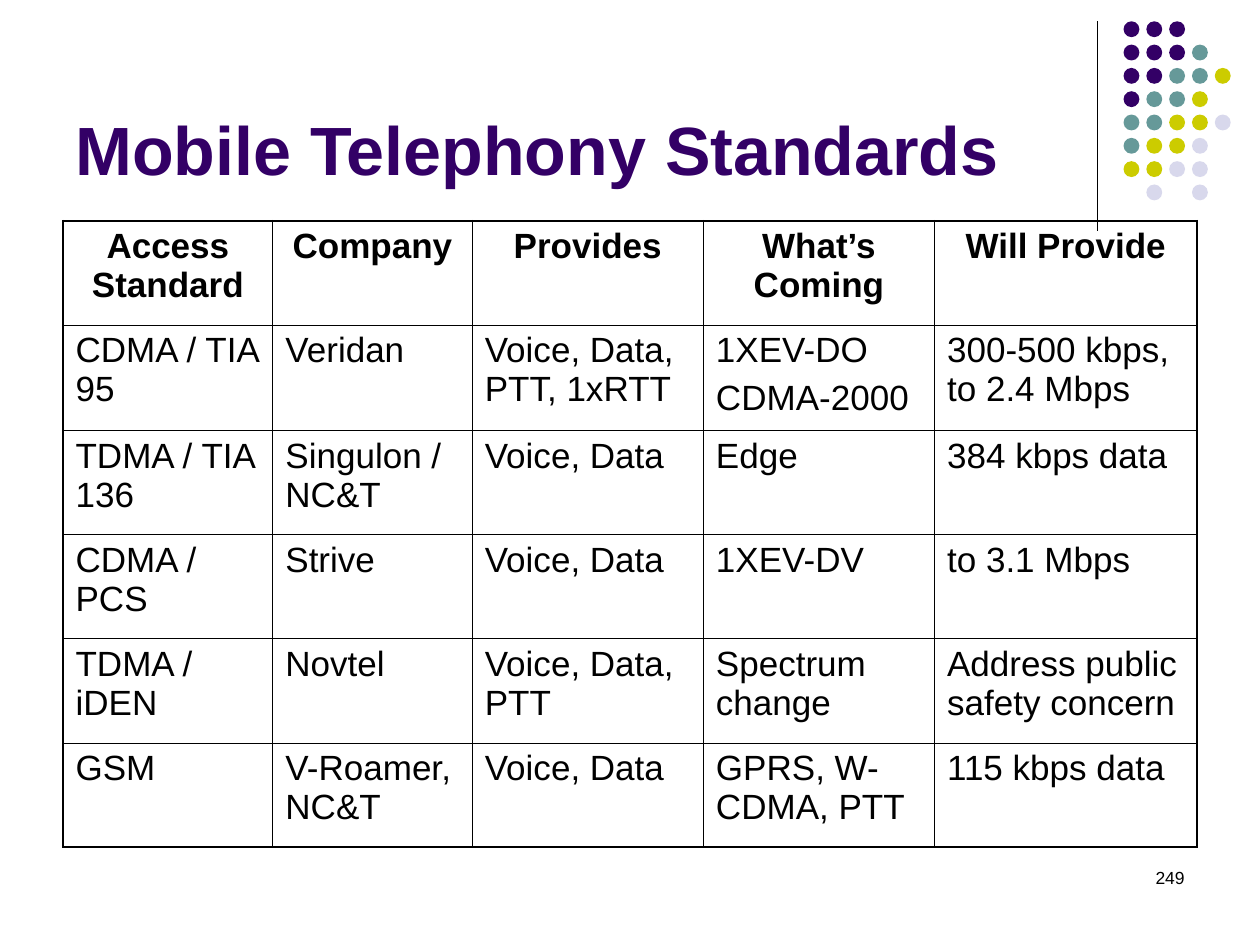
"""Build the Mobile Telephony Standards slide."""
import lxml.etree
import pptx
import pptx.dml.color
import pptx.enum.shapes
import pptx.enum.text
import pptx.oxml.ns
import pptx.util

Cm = pptx.util.Cm
Pt = pptx.util.Pt
align = pptx.enum.text.PP_ALIGN
qn = pptx.oxml.ns.qn
hues = {"ink": "000000", "P": "330066", "T": "669999", "Y": "CCCC00", "L": "D8D8EC"}
rgb = {key: pptx.dml.color.RGBColor.from_string(hue) for key, hue in hues.items()}


def style(par, size, hue="ink", bold=False, side=align.LEFT):
    par.alignment = side
    for run in par.runs:
        run.font.name = "Arial"
        run.font.size = Pt(size)
        run.font.bold = bold
        run.font.color.rgb = rgb[hue]


def border(cell, tag, width):
    props = cell._tc.get_or_add_tcPr()
    line = lxml.etree.SubElement(props, qn("a:" + tag), w=str(Pt(width)))
    fill = lxml.etree.SubElement(line, qn("a:solidFill"))
    lxml.etree.SubElement(fill, qn("a:srgbClr"), val=hues["ink"])


deck = pptx.Presentation()
deck.slide_width = Cm(25.4)
deck.slide_height = Cm(19.05)
slide = deck.slides.add_slide(deck.slide_layouts[6])

rule = slide.shapes.add_connector(
    pptx.enum.shapes.MSO_CONNECTOR.STRAIGHT, Cm(22.12), Cm(0.43), Cm(22.12), Cm(4.65))
rule.line.color.rgb = rgb["ink"]
rule.line.width = Pt(0.75)
lxml.etree.SubElement(rule._element.spPr, qn("a:effectLst"))

dots = ["PPP", "PPPT", "PPTTY", "PTTY", "TTYYL", "TYYL", "YYLL", " L L"]
group = slide.shapes.add_group_shape()
for row, marks in enumerate(dots):
    for col, mark in enumerate(marks):
        if mark in rgb:
            dot = group.shapes.add_shape(
                pptx.enum.shapes.MSO_SHAPE.OVAL,
                Cm(22.65 + 0.46 * col), Cm(0.43 + 0.47 * row), Cm(0.32), Cm(0.32))
            dot.shadow.inherit = False
            dot.fill.solid()
            dot.fill.fore_color.rgb = rgb[mark]
            dot.line.fill.background()

title = slide.shapes.add_textbox(Cm(1.27), Cm(0.76), Cm(22.86), Cm(3.18)).text_frame
title.word_wrap = True
title.vertical_anchor = pptx.enum.text.MSO_ANCHOR.BOTTOM
title.text = "Mobile Telephony Standards"
style(title.paragraphs[0], 39, "P", True)

page = slide.shapes.add_textbox(Cm(18.2), Cm(17.35), Cm(5.93), Cm(1.32)).text_frame
page.word_wrap = True
page.text = "249"
style(page.paragraphs[0], 10, side=align.RIGHT)

rows = [
    ["Access Standard", "Company", "Provides", "What’s Coming", "Will Provide"],
    ["CDMA / TIA 95", "Veridan", "Voice, Data, PTT, 1xRTT", "1XEV-DO\nCDMA-2000",
     "300-500 kbps, to 2.4 Mbps"],
    ["TDMA / TIA 136", "Singulon / NC&T", "Voice, Data", "Edge", "384 kbps data"],
    ["CDMA / PCS", "Strive", "Voice, Data", "1XEV-DV", "to 3.1 Mbps"],
    ["TDMA / iDEN", "Novtel", "Voice, Data, PTT", "Spectrum change",
     "Address public safety concern"],
    ["GSM", "V-Roamer, NC&T", "Voice, Data", "GPRS, W-CDMA, PTT", "115 kbps data"],
]
wides = [4.23, 4.02, 4.66, 4.66, 5.29]
tall = 2.1
end, last = len(rows) - 1, len(wides) - 1
grid = slide.shapes.add_table(
    len(rows), len(wides), Cm(1.27), Cm(4.45), Cm(sum(wides)), Cm(tall * len(rows))).table
grid.first_row = False
grid.horz_banding = False
for col, wide in enumerate(wides):
    grid.columns[col].width = Cm(wide)
for row, texts in enumerate(rows):
    grid.rows[row].height = Cm(tall)
    for col, text in enumerate(texts):
        cell = grid.cell(row, col)
        edges = {"lnL": col == 0, "lnR": col == last, "lnT": row == 0, "lnB": row == end}
        for tag, outer in edges.items():
            border(cell, tag, 1.08 if outer else 0.45)
        cell.fill.background()
        cell.text_frame.text = text
        for num, par in enumerate(cell.text_frame.paragraphs):
            style(par, 20, bold=row == 0, side=align.LEFT if row else align.CENTER)
            if num:
                par.space_before = Pt(5)

deck.save("out.pptx")
